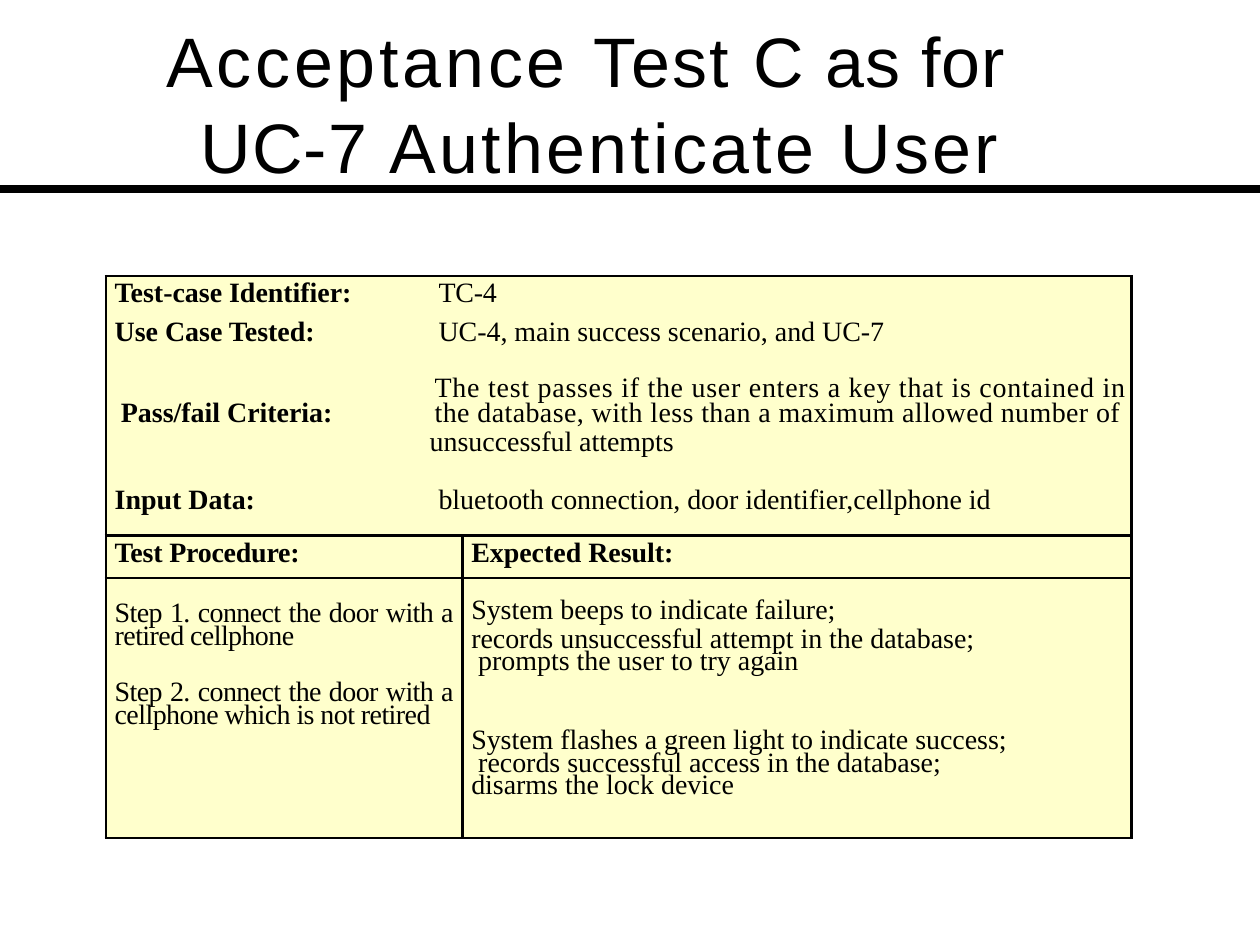
from dataclasses import dataclass
from lxml.etree import SubElement
from pptx import Presentation
from pptx.dml.color import RGBColor
from pptx.enum.shapes import MSO_CONNECTOR
from pptx.enum.text import MSO_ANCHOR, MSO_AUTO_SIZE, PP_ALIGN
from pptx.oxml.ns import qn
from pptx.util import Inches, Pt


@dataclass(frozen=True)
class Theme:
    ink: RGBColor = RGBColor(0, 0, 0)
    paper: RGBColor = RGBColor(0xFF, 0xFF, 0xCC)
    title_font: str = "Arial"
    body_font: str = "Times New Roman"
    title_size: float = 40
    body_size: float = 16
    rule_width: float = 4.5
    border_width: float = 1.5


THEME = Theme()
INDENT = 0.07
VALUE_TAB = 2.57


def format_span(span, font, size, bold=False, spacing=0):
    span.font.name = font
    span.font.size = Pt(size)
    span.font.bold = bold
    span.font.color.rgb = THEME.ink
    span._r.get_or_add_rPr().set("spc", str(round(spacing * 100)))


def format_para(para, indent=INDENT, right=0, before=0, leading=None, tab=None,
                align=PP_ALIGN.LEFT):
    para.alignment = align
    para.space_before = Pt(before)
    if leading:
        para.line_spacing = leading
    properties = para._p.get_or_add_pPr()
    properties.set("marL", str(Inches(indent)))
    properties.set("marR", str(Inches(right)))
    if tab:
        tabs = SubElement(properties, qn("a:tabLst"))
        SubElement(tabs, qn("a:tab"), pos=str(Inches(tab)), algn="l")


def next_para(frame):
    first = frame.paragraphs[0]
    return frame.add_paragraph() if first.runs else first


def add_para(frame, text, bold=False, spacing=0, **layout):
    para = next_para(frame)
    para.text = text
    format_para(para, **layout)
    for span in para.runs:
        format_span(span, THEME.body_font, THEME.body_size, bold, spacing)


def add_field(frame, label, value, spacing=0, tab=VALUE_TAB, **layout):
    para = next_para(frame)
    format_para(para, tab=tab, **layout)
    for text, bold, gap in ((label + "\t", True, 0), (value, False, spacing)):
        span = para.add_run()
        span.text = text
        format_span(span, THEME.body_font, THEME.body_size, bold, gap)


def add_border(cell):
    properties = cell._tc.get_or_add_tcPr()
    for position, side in enumerate(("a:lnL", "a:lnR", "a:lnT", "a:lnB")):
        line = SubElement(properties, qn(side), w=str(Pt(THEME.border_width)))
        fill = SubElement(line, qn("a:solidFill"))
        SubElement(fill, qn("a:srgbClr"), val=str(THEME.ink))
        properties.insert(position, line)


def style_cell(cell):
    cell.margin_left = cell.margin_right = cell.margin_top = cell.margin_bottom = 0
    cell.fill.solid()
    cell.fill.fore_color.rgb = THEME.paper
    add_border(cell)


def add_title(page, lines):
    title = page.shapes.title
    title.left, title.top = Inches(1.31), Inches(0.13)
    title.width, title.height = Inches(7.39), Inches(1.37)
    frame = title.text_frame
    frame.auto_size = MSO_AUTO_SIZE.NONE
    frame.vertical_anchor = MSO_ANCHOR.TOP
    frame.margin_left = frame.margin_right = frame.margin_bottom = 0
    frame.margin_top = Inches(0.01)
    for indent, before, pieces in lines:
        para = next_para(frame)
        format_para(para, indent=indent, before=before)
        para._p.get_or_add_pPr().set("indent", "0")
        for text, spacing in pieces:
            span = para.add_run()
            span.text = text
            format_span(span, THEME.title_font, THEME.title_size, spacing=spacing)


def add_rule(page, top):
    rule = page.shapes.add_connector(
        MSO_CONNECTOR.STRAIGHT, 0, Inches(top), Inches(10), Inches(top))
    rule.line.color.rgb = THEME.ink
    rule.line.width = Pt(THEME.rule_width)
    SubElement(rule._element.spPr, qn("a:effectLst"))


def add_test_table(page):
    columns, rows = (2.83, 5.31), (2.06, 0.34, 2.06)
    table = page.shapes.add_table(
        len(rows), len(columns), Inches(0.84), Inches(2.19),
        Inches(sum(columns)), Inches(sum(rows))).table
    table.first_row = table.horz_banding = False
    for column, width in zip(table.columns, columns):
        column.width = Inches(width)
    for row, height in zip(table.rows, rows):
        row.height = Inches(height)
    for cell in table.iter_cells():
        style_cell(cell)
    table.cell(0, 0).merge(table.cell(0, 1))
    return table


def fill_summary(cell):
    cell.margin_top = Inches(0.01)
    frame = cell.text_frame
    add_field(frame, "Test-case Identifier:", "TC-4", -0.1)
    add_field(frame, "Use Case Tested:", "UC-4, main success scenario, and UC-7", before=4.7)
    add_para(frame, "The test passes if the user enters a key that is contained in",
             spacing=0.46, indent=2.61, before=15.5, leading=Pt(16.7))
    add_field(frame, "Pass/fail Criteria:",
              "the database, with less than a maximum allowed number of",
              spacing=0.26, tab=2.49, indent=0.12, leading=Pt(14.1))
    add_para(frame, "unsuccessful attempts", indent=VALUE_TAB, leading=Pt(16.6))
    add_field(frame, "Input Data:", "bluetooth connection, door identifier,cellphone id",
              before=15.5)


def fill_steps(cell):
    cell.margin_top = Inches(0.21)
    steps = (("Step 1. connect the door with a retired cellphone", 0),
             ("Step 2. connect the door with a cellphone which is not retired", 19.1))
    for text, before in steps:
        add_para(cell.text_frame, text, spacing=-0.3, right=INDENT, before=before,
                 leading=0.73, align=PP_ALIGN.JUSTIFY)


def fill_results(cell):
    cell.margin_top = Inches(0.14)
    results = (
        ("System beeps to indicate failure;", 0, Pt(16.7)),
        ("records unsuccessful attempt in the database;\v prompts the user to try again",
         2.8, 0.73),
        ("System flashes a green light to indicate success;\v"
         " records successful access in the database;\vdisarms the lock device", 31.8, 0.73))
    for text, before, leading in results:
        add_para(cell.text_frame, text, before=before, leading=leading)


def main():
    deck = Presentation()
    deck.slide_width, deck.slide_height = Inches(10), Inches(7.5)
    page = deck.slides.add_slide(deck.slide_layouts[5])
    add_rule(page, 1.5)
    add_title(page, (
        (0.01, 0, (("Acceptance ", 2.2), ("Test ", 1.4), ("C as for", 0.6))),
        (0.28, 0.9, (("UC-7 ", 0.8), ("Authenticate ", 1.9), ("User", 1.9)))))
    table = add_test_table(page)
    fill_summary(table.cell(0, 0))
    headings = (("Test Procedure:", -0.1), ("Expected Result:", 0))
    for column, (heading, spacing) in enumerate(headings):
        add_para(table.cell(1, column).text_frame, heading, bold=True,
                 spacing=spacing, leading=Pt(18.8))
    fill_steps(table.cell(2, 0))
    fill_results(table.cell(2, 1))
    deck.save("out.pptx")


main()
